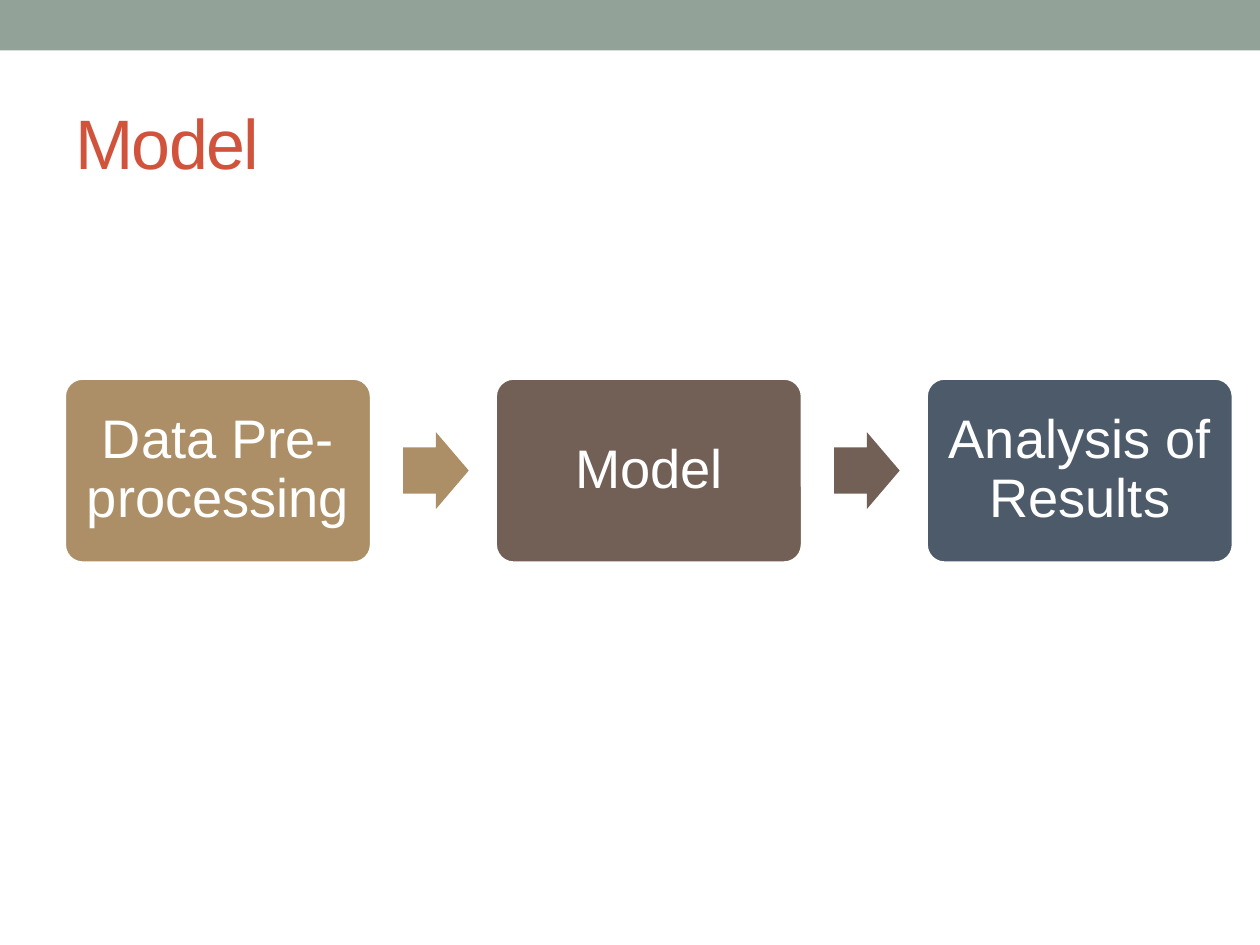
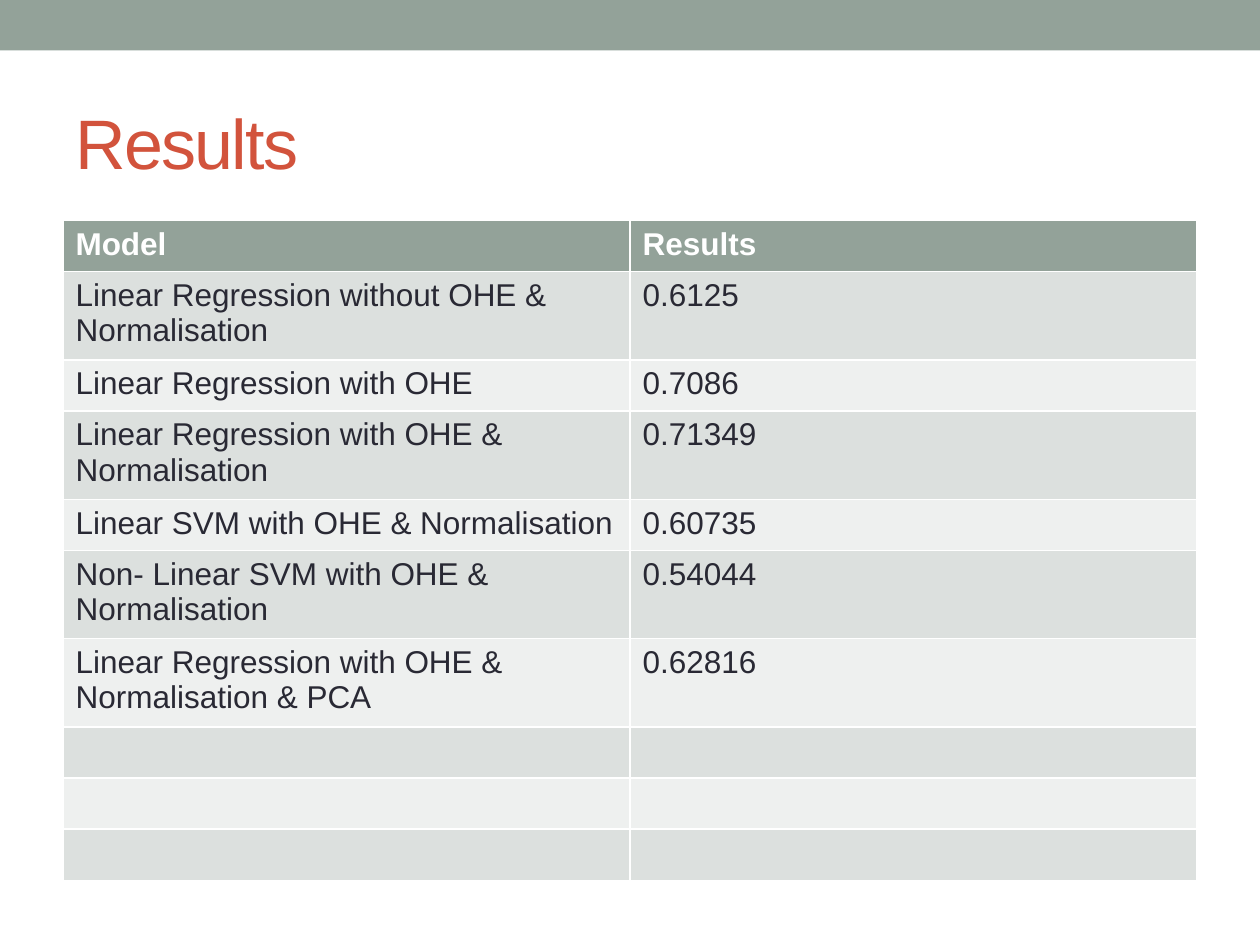
from pptx import Presentation
from pptx.dml.color import RGBColor
from pptx.enum.shapes import MSO_SHAPE as Shape
from pptx.enum.text import MSO_ANCHOR as Anchor, PP_ALIGN as Align
from pptx.util import Inches, Pt

# Content
STEPS = [("Data Pre-processing", "tan"), ("Model", "brown"), ("Analysis of Results", "slate")]
HEADER = ("Model", "Results")
RESULTS = [
    ("Linear Regression without OHE & Normalisation", "0.6125"),
    ("Linear Regression with OHE ", "0.7086"),
    ("Linear Regression with OHE & Normalisation", "0.71349"),
    ("Linear SVM with OHE & Normalisation", "0.60735"),
    ("Non- Linear SVM with OHE & Normalisation", "0.54044"),
    ("Linear Regression with OHE & Normalisation & PCA", "0.62816"),
]
EMPTY_ROWS = 3

# Shared style
COLORS = {
    "sage": "93A299", "red": "D2533C", "ink": "292934", "white": "FFFFFF",
    "tan": "AD8F67", "brown": "726056", "slate": "4C5A6A",
    "dark_row": "DCE0DE", "light_row": "EEF0EF",
}
FORMATS = {
    "title": {"size": Pt(40), "name": "Arial", "color": "red"},
    "step": {"size": Pt(31), "name": "Arial", "color": "white"},
    "header": {"size": Pt(18), "name": "Arial", "color": "white", "bold": True},
    "body": {"size": Pt(18), "name": "Arial", "color": "ink", "bold": False},
}

# Geometry in inches
WIDTH, HEIGHT = 10, 7.5
MARGIN = 0.05 * WIDTH
CONTENT_WIDTH = WIDTH - 2 * MARGIN
BAND_HEIGHT = 0.4
STEP_LEFT, STEP_PITCH, STEP_WIDTH, STEP_HEIGHT = 0.51, 3.42, 2.44, 1.47
STEP_INSET = 0.12
ARROW_WIDTH, ARROW_HEIGHT, ARROW_GAP = 0.52, 0.61, 0.25
MIDDLE = 3 + STEP_HEIGHT / 2
TABLE_TOP, TABLE_HEIGHT = 1.75, 4.06


def rgb(name):
    """Return a palette colour."""
    return RGBColor.from_string(COLORS[name])


def write(paragraph, text, style):
    """Add a run of text in a named format and return it."""
    run = paragraph.add_run()
    run.text = text
    for key, value in FORMATS[style].items():
        if key == "color":
            run.font.color.rgb = rgb(value)
        else:
            setattr(run.font, key, value)
    return run


def add_block(slide, kind, box, color, adjustments=(), outline=None):
    """Add a filled preset shape; box is left, top, width, height."""
    shape = slide.shapes.add_shape(kind, *map(Inches, box))
    shape.shadow.inherit = False
    shape.fill.solid()
    shape.fill.fore_color.rgb = rgb(color)
    if outline:
        shape.line.color.rgb = rgb(outline)
        shape.line.width = Pt(2.08)
    else:
        shape.line.fill.background()
    for index, value in enumerate(adjustments):
        shape.adjustments[index] = value
    return shape


def add_slide(presentation, title):
    """Add a blank slide with the top band and a title."""
    slide = presentation.slides.add_slide(presentation.slide_layouts[6])
    add_block(slide, Shape.RECTANGLE, (0, 0, WIDTH, BAND_HEIGHT), "sage")
    box = slide.shapes.add_textbox(*map(Inches, (MARGIN, 0.58, CONTENT_WIDTH, 1.08)))
    frame = box.text_frame
    frame.word_wrap = True
    frame.vertical_anchor = Anchor.MIDDLE
    run = write(frame.paragraphs[0], title, "title")
    run.font._element.set("spc", "-100")
    return slide


def add_step(slide, index, text, color):
    """Add one process box with its label."""
    left = STEP_LEFT + index * STEP_PITCH
    box = (left, MIDDLE - STEP_HEIGHT / 2, STEP_WIDTH, STEP_HEIGHT)
    frame = add_block(slide, Shape.ROUNDED_RECTANGLE, box, color, [0.1], "white").text_frame
    frame.word_wrap = True
    frame.vertical_anchor = Anchor.MIDDLE
    for side in ("left", "right", "top", "bottom"):
        setattr(frame, "margin_" + side, Inches(STEP_INSET))
    paragraph = frame.paragraphs[0]
    paragraph.alignment = Align.CENTER
    paragraph.line_spacing = 0.9
    write(paragraph, text, "step")


def add_arrow(slide, index, color):
    """Add the arrow that follows a process box."""
    left = STEP_LEFT + index * STEP_PITCH + STEP_WIDTH + ARROW_GAP
    box = (left, MIDDLE - ARROW_HEIGHT / 2, ARROW_WIDTH, ARROW_HEIGHT)
    add_block(slide, Shape.RIGHT_ARROW, box, color, [0.6, 0.5])


def add_results(slide):
    """Add the banded table of results; its style draws the white rules."""
    rows = [HEADER, *RESULTS, *[("", "")] * EMPTY_ROWS]
    box = (MARGIN, TABLE_TOP, CONTENT_WIDTH, TABLE_HEIGHT)
    table = slide.shapes.add_table(len(rows), len(HEADER), *map(Inches, box)).table
    for number, values in enumerate(rows):
        style = "body" if number else "header"
        fill = ("light_row", "dark_row")[number % 2] if number else "sage"
        for column, text in enumerate(values):
            cell = table.cell(number, column)
            cell.fill.solid()
            cell.fill.fore_color.rgb = rgb(fill)
            if text:
                write(cell.text_frame.paragraphs[0], text, style)


def main():
    """Build and save the presentation."""
    presentation = Presentation()
    presentation.slide_width, presentation.slide_height = Inches(WIDTH), Inches(HEIGHT)

    model_slide = add_slide(presentation, "Model")
    for index, (text, color) in enumerate(STEPS):
        add_step(model_slide, index, text, color)
        if index < len(STEPS) - 1:
            add_arrow(model_slide, index, color)

    add_results(add_slide(presentation, "Results"))
    presentation.save("out.pptx")


main()
